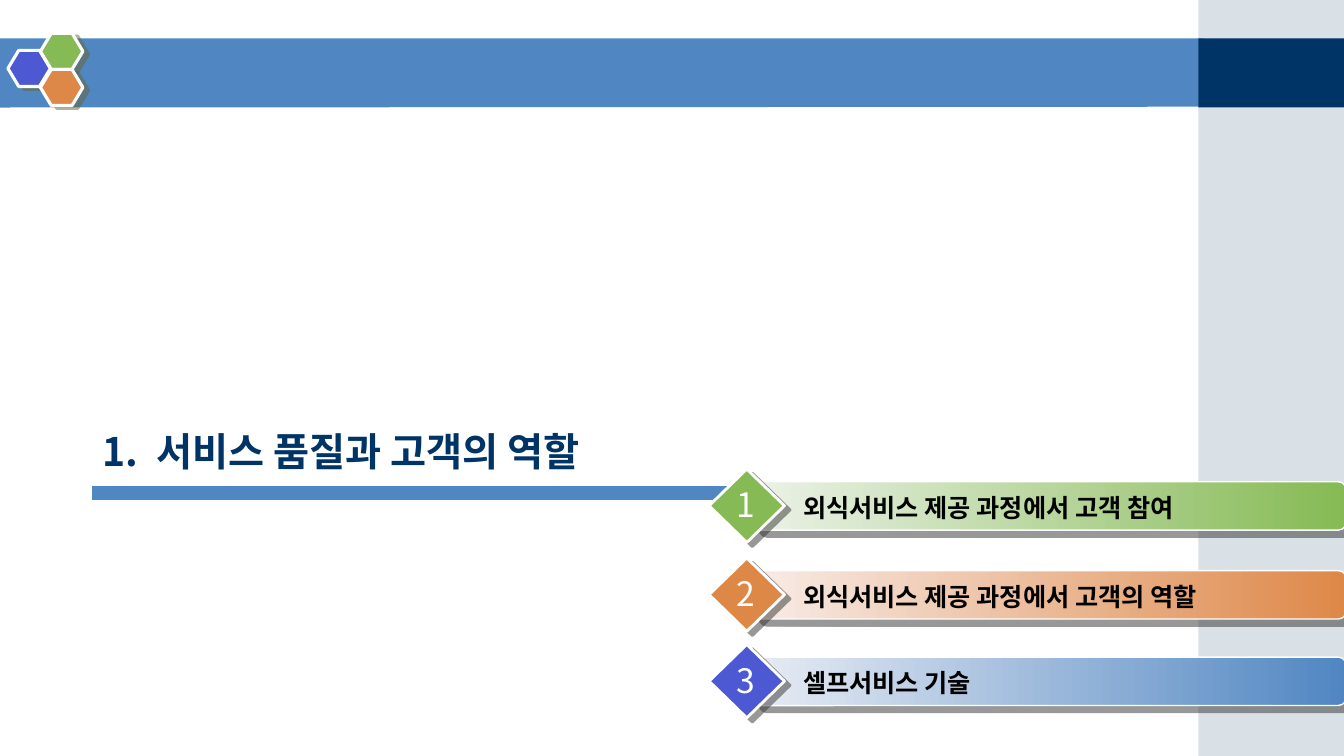
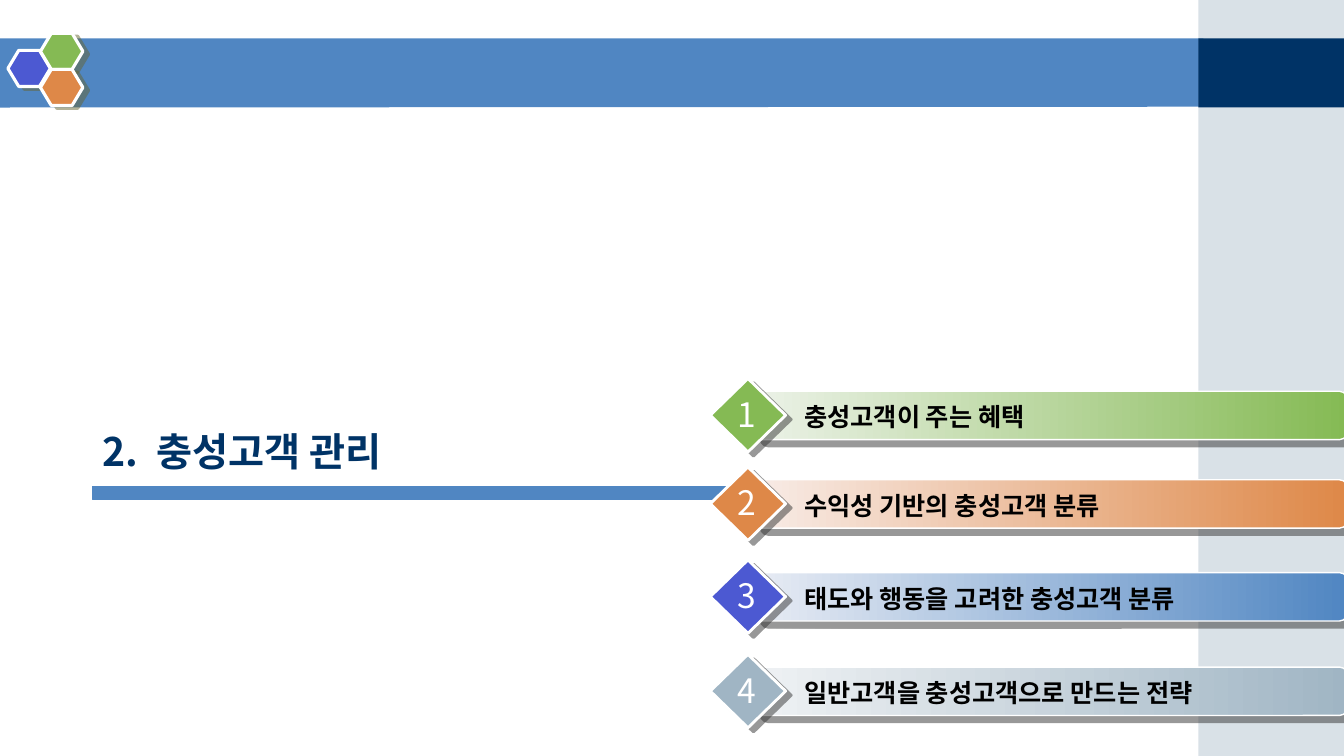
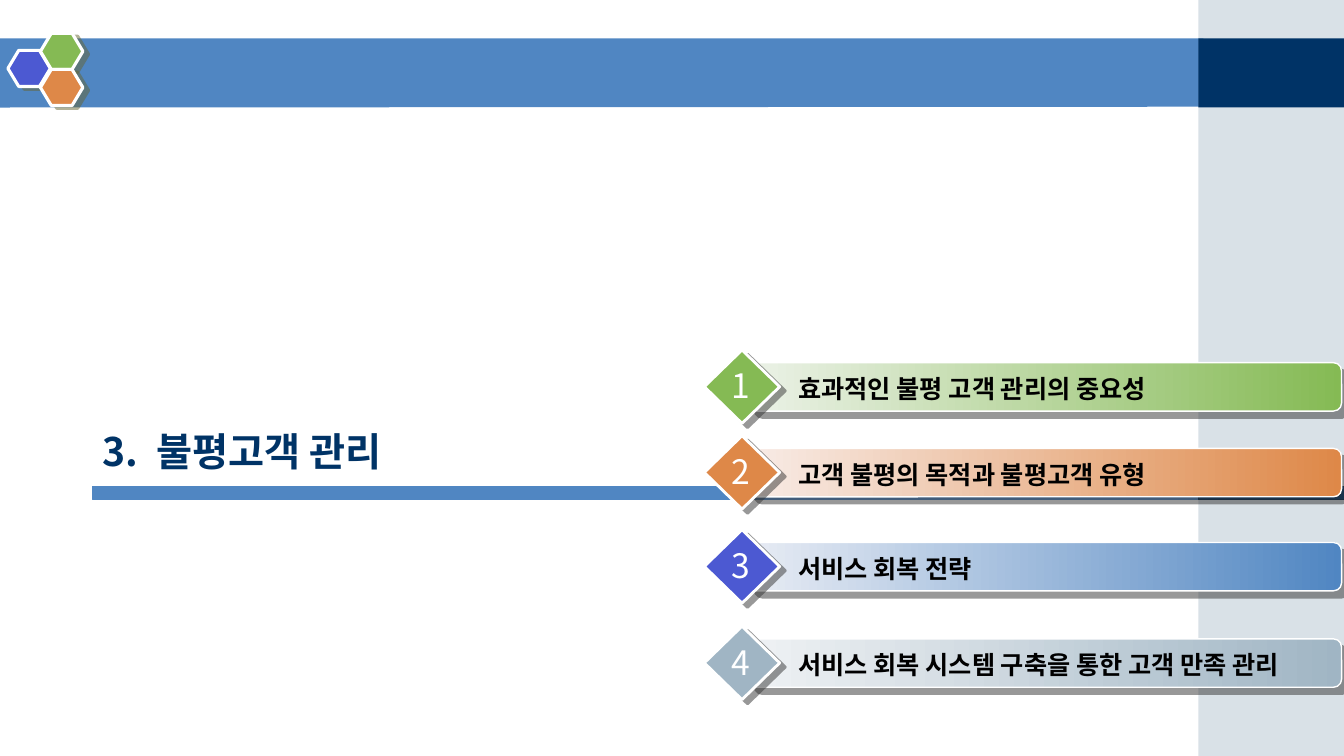
from lxml import etree
from pptx import Presentation
from pptx.dml.color import RGBColor
from pptx.enum.shapes import MSO_SHAPE
from pptx.enum.text import MSO_ANCHOR, MSO_AUTO_SIZE, PP_ALIGN
from pptx.oxml.ns import qn
from pptx.util import Cm, Pt

RECT, ROUNDED = MSO_SHAPE.RECTANGLE, MSO_SHAPE.ROUNDED_RECTANGLE
DIAMOND, HEXAGON = MSO_SHAPE.DIAMOND, MSO_SHAPE.HEXAGON
LEFT, CENTER = PP_ALIGN.LEFT, PP_ALIGN.CENTER
BOTTOM = MSO_ANCHOR.BOTTOM
FIT_SHAPE, NO_FIT = MSO_AUTO_SIZE.SHAPE_TO_FIT_TEXT, MSO_AUTO_SIZE.NONE

FONT = "Noto Sans CJK KR"
WHITE = RGBColor(0xFF, 0xFF, 0xFF)
BLACK = RGBColor(0x00, 0x00, 0x00)
NAVY = RGBColor(0x00, 0x33, 0x66)
DARK_NAVY = RGBColor(0x00, 0x26, 0x4D)
BLUE = RGBColor(0x50, 0x86, 0xC2)
VIOLET = RGBColor(0x4C, 0x59, 0xD2)
GREEN = RGBColor(0x85, 0xBA, 0x54)
ORANGE = RGBColor(0xDE, 0x88, 0x48)
GRAY = RGBColor(0xA0, 0xB5, 0xC4)
PALE_GREEN = RGBColor(0xEC, 0xF2, 0xE8)
PALE_ORANGE = RGBColor(0xF8, 0xEC, 0xE7)
PALE_BLUE = RGBColor(0xE8, 0xEC, 0xF4)
PALE_GRAY = RGBColor(0xEF, 0xF2, 0xF4)
SHADOW = RGBColor(0x33, 0x33, 0x33)
OLIVE_SHADOW = RGBColor(0x66, 0x66, 0x33)

SLIDE_W, SLIDE_H = 33.87, 19.05
SIDE_LEFT, SIDE_W = 30.2, 3.67
BAND_TOP, BAND_H = 0.97, 1.74
RULE_LEFT, RULE_TOP, RULE_H, CAP_W = 2.34, 12.27, 0.33, 3.76

HEXAGONS = [(0.2, 1.27, VIOLET), (1.02, 0.84, GREEN), (1.02, 1.75, ORANGE)]

THEMES = [
    (GREEN, PALE_GREEN, GREEN),
    (ORANGE, PALE_ORANGE, ORANGE),
    (VIOLET, PALE_BLUE, BLUE),
    (GRAY, PALE_GRAY, GRAY),
]

SECTIONS = [
    {"title": "1.\t서비스 품질과 고객의 역할", "cap_left": 31.12, "bar_left": 18.92,
     "topics": [(12.14, "외식서비스 제공 과정에서 고객 참여"),
                (14.38, "외식서비스 제공 과정에서 고객의 역할"),
                (16.56, "셀프서비스 기술")]},
    {"title": "2.\t충성고객 관리", "cap_left": SIDE_LEFT, "bar_left": 18.95,
     "topics": [(9.86, "충성고객이 주는 혜택"),
                (12.09, "수익성 기반의 충성고객 분류"),
                (14.43, "태도와 행동을 고려한 충성고객 분류"),
                (16.81, "일반고객을 충성고객으로 만드는 전략")]},
    {"title": "3.\t불평고객 관리", "cap_left": SIDE_LEFT, "bar_left": 18.8,
     "topics": [(9.14, "효과적인 불평 고객 관리의 중요성"),
                (11.3, "고객 불평의 목적과 불평고객 유형"),
                (13.67, "서비스 회복 전략"),
                (16.1, "서비스 회복 시스템 구축을 통한 고객 만족 관리")]},
]


def set_alpha(color_element, percent):
    etree.SubElement(color_element, qn("a:alpha"), val=str(percent * 1000))


def cast_shadow(shape, color, distance, degrees):
    effects = shape.element.spPr.find(qn("a:effectLst"))
    outer = etree.SubElement(effects, qn("a:outerShdw"), blurRad="0", dist=str(Pt(distance)),
                             dir=str(degrees * 60000), algn="ctr", rotWithShape="0")
    set_alpha(etree.SubElement(outer, qn("a:srgbClr"), val=str(color)), 50)


def paint(shape, fill, line=None, line_width=0.75):
    shape.shadow.inherit = False
    if isinstance(fill, RGBColor):
        shape.fill.solid()
        shape.fill.fore_color.rgb = fill
    else:
        shape.fill.gradient()
        shape.fill.gradient_angle = 0
        for stop, color in zip(shape.fill.gradient_stops, fill):
            stop.color.rgb = color
    if line is None:
        shape.line.fill.background()
    else:
        shape.line.color.rgb = line
        shape.line.width = Pt(line_width)
    return shape


def add_block(shapes, preset, left, top, width, height, fill, line=None, line_width=0.75):
    block = shapes.add_shape(preset, Cm(left), Cm(top), Cm(width), Cm(height))
    return paint(block, fill, line, line_width)


def write(shape, text, size, color, bold, align):
    paragraph = shape.text_frame.paragraphs[0]
    paragraph.text = text
    paragraph.alignment = align
    font = paragraph.runs[0].font
    font.name, font.size, font.bold = FONT, Pt(size), bold
    font.color.rgb = color
    for properties in shape.element.iter(qn("a:rPr")):
        properties.find(qn("a:latin")).addnext(
            etree.Element(qn("a:ea"), typeface=FONT))


def add_label(shapes, left, top, width, height, text, size, color, bold, align, wrap):
    label = shapes.add_textbox(Cm(left), Cm(top), Cm(width), Cm(height))
    label.text_frame.word_wrap = wrap
    label.text_frame.auto_size = FIT_SHAPE
    write(label, text, size, color, bold, align)


def decorate_layout(layout, slide):
    shapes = slide.shapes
    bottom = BAND_TOP + BAND_H
    outline = shapes.build_freeform(Cm(-0.03), Cm(BAND_TOP))
    outline.add_line_segments([(Cm(30.33), Cm(BAND_TOP)), (Cm(30.3), Cm(bottom - 0.02)),
                               (Cm(-0.03), Cm(bottom))], close=True)
    band = paint(outline.convert_to_shape(), BLUE)
    side = add_block(shapes, RECT, SIDE_LEFT, 0, SIDE_W, SLIDE_H, GRAY)
    set_alpha(next(side.element.spPr.iter(qn("a:srgbClr"))), 40)
    corner = add_block(shapes, RECT, SIDE_LEFT, BAND_TOP, SIDE_W, BAND_H, NAVY)
    parts = [band, side, corner]
    for left, top, color in HEXAGONS:
        cell = add_block(shapes, HEXAGON, left, top, 1.07, 0.91, color, WHITE, 2.25)
        cell.adjustments[0] = 0.3
        cast_shadow(cell, OLIVE_SHADOW, 4.5, 27)
        parts.append(cell)
    for index, part in enumerate(parts, start=2):
        layout.shapes.element.insert(index, part.element)


def add_title(slide, text):
    title = slide.shapes.title
    title.left, title.top, title.width, title.height = Cm(2.34), Cm(7.92), Cm(29.21), Cm(4.17)
    frame = title.text_frame
    frame.word_wrap, frame.auto_size, frame.vertical_anchor = True, NO_FIT, BOTTOM
    write(title, text, 28, NAVY, True, LEFT)
    properties = next(title.element.iter(qn("a:pPr")))
    tabs = etree.SubElement(properties, qn("a:tabLst"))
    etree.SubElement(tabs, qn("a:tab"), pos=str(Cm(1.35)), algn="l")


def add_topic(slide, number, left, top, text, theme):
    badge_color, pale, strong = theme
    shapes = slide.shapes.add_group_shape().shapes
    bar = add_block(shapes, ROUNDED, left, top, 15.01, 1.22, (pale, strong), WHITE, 1)
    cast_shadow(bar, SHADOW, 7.8, 40)
    badge = add_block(shapes, DIAMOND, left - 1.05, top - 0.32, 1.9, 1.85, badge_color, WHITE, 2)
    cast_shadow(badge, SHADOW, 5, 37)
    add_label(shapes, left + 1.07, top + 0.14, 15.01, 1.02, text, 18, BLACK, True, LEFT, True)
    add_label(shapes, left - 0.61, top - 0.06, 0.94, 1.24, str(number), 24, WHITE, False,
              CENTER, False)


def add_section(slide, section):
    add_title(slide, section["title"])
    add_block(slide.shapes, RECT, RULE_LEFT, RULE_TOP, SIDE_LEFT - RULE_LEFT, RULE_H, BLUE, BLUE)
    add_block(slide.shapes, RECT, section["cap_left"], RULE_TOP, CAP_W, RULE_H, NAVY, DARK_NAVY)
    for number, ((top, text), theme) in enumerate(zip(section["topics"], THEMES), start=1):
        add_topic(slide, number, section["bar_left"], top, text, theme)


def main():
    deck = Presentation()
    deck.slide_width, deck.slide_height = Cm(SLIDE_W), Cm(SLIDE_H)
    layout = deck.slide_layouts[5]
    slides = [deck.slides.add_slide(layout) for _ in SECTIONS]
    decorate_layout(layout, slides[0])
    for slide, section in zip(slides, SECTIONS):
        add_section(slide, section)
    deck.save("out.pptx")


if __name__ == "__main__":
    main()
